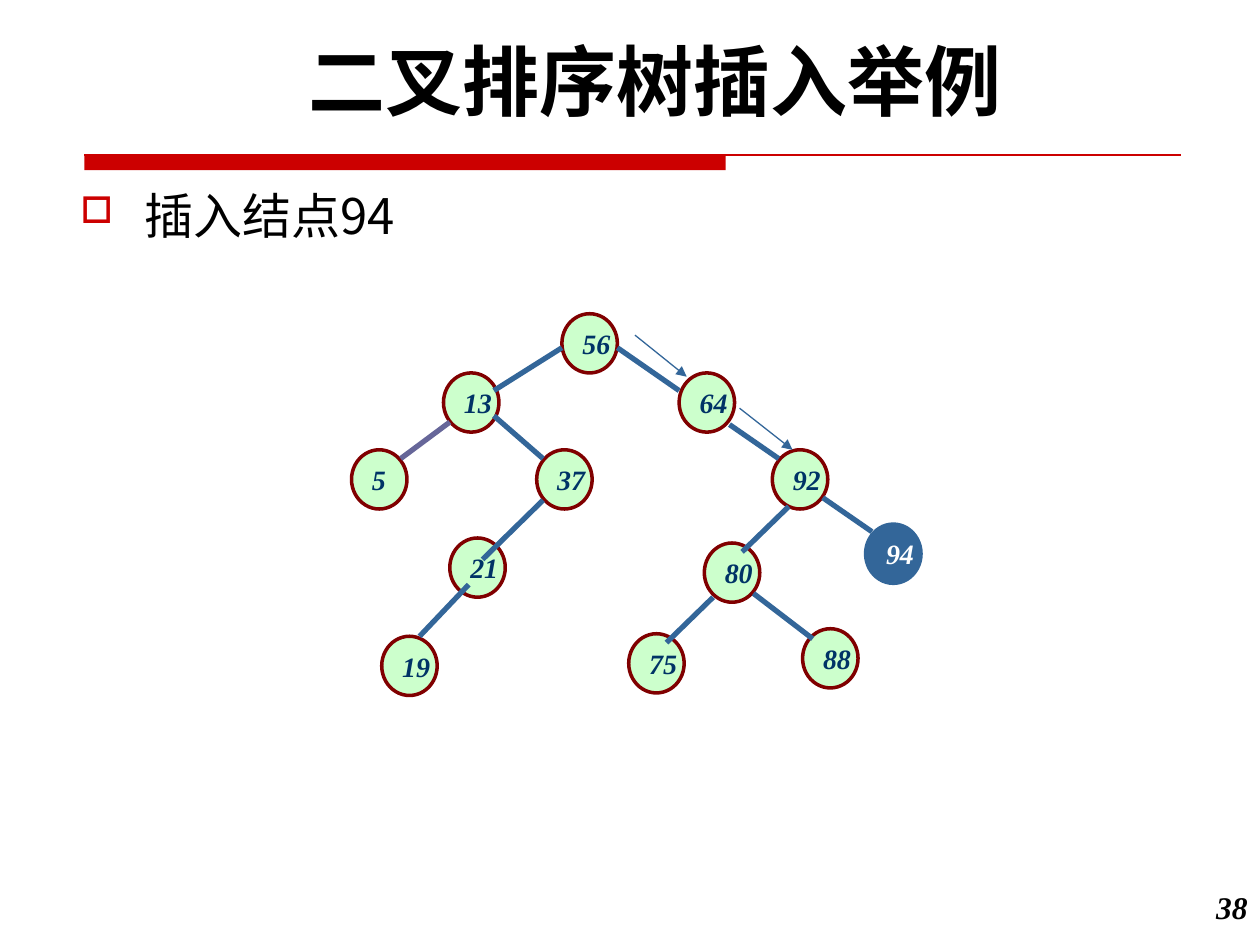
from lxml.etree import SubElement
from pptx import Presentation
from pptx.dml.color import RGBColor
from pptx.enum.shapes import MSO_CONNECTOR, MSO_SHAPE
from pptx.enum.text import MSO_ANCHOR, PP_ALIGN
from pptx.oxml.ns import qn
from pptx.util import Inches, Pt

BLACK = RGBColor(0x00, 0x00, 0x00)
WHITE = RGBColor(0xFF, 0xFF, 0xFF)
RED = RGBColor(0xCC, 0x00, 0x00)
MAROON = RGBColor(0x80, 0x00, 0x00)
MINT = RGBColor(0xCC, 0xFF, 0xCC)
NAVY = RGBColor(0x00, 0x33, 0x66)
BLUE = RGBColor(0x33, 0x66, 0x99)
VIOLET = RGBColor(0x66, 0x66, 0x99)

HEADING_FONT = "Roboto"
BODY_FONT = "Noto Sans CJK SC"
NUMBER_FONT = "Times New Roman"

NODE_WIDTH, NODE_HEIGHT = 0.44, 0.47
NODES = {
    "56": (4.46, 2.49), "13": (3.52, 2.96), "64": (5.39, 2.96),
    "5": (2.79, 3.57), "37": (4.26, 3.57), "92": (6.13, 3.57),
    "21": (3.57, 4.27), "80": (5.59, 4.31), "19": (3.03, 5.05),
    "75": (4.99, 5.03), "88": (6.37, 4.99), "94": (6.87, 4.16),
}
INSERTED = "94"
EDGES = [
    ((4.46, 2.76), (3.92, 3.10), BLUE),
    ((3.57, 3.35), (3.18, 3.64), VIOLET),
    ((4.90, 2.76), (5.39, 3.10), BLUE),
    ((3.92, 3.30), (4.31, 3.64), BLUE),
    ((4.31, 3.97), (3.83, 4.44), BLUE),
    ((5.79, 3.37), (6.18, 3.64), BLUE),
    ((6.26, 4.02), (5.89, 4.38), BLUE),
    ((5.98, 4.71), (6.45, 5.07), BLUE),
    ((3.72, 4.64), (3.33, 5.05), BLUE),
    ((5.66, 4.74), (5.29, 5.10), BLUE),
    ((6.53, 3.95), (6.92, 4.22), BLUE),
]
SEARCH_STEPS = [((5.04, 2.66), (5.45, 2.99)), ((5.87, 3.24), (6.29, 3.57))]


def place(shape, left, top, width, height):
    """Move and size a shape, in inches."""
    shape.left, shape.top = Inches(left), Inches(top)
    shape.width, shape.height = Inches(width), Inches(height)


def write(paragraph, text, font, size, color, bold=False, italic=False):
    """Add one formatted run to a paragraph."""
    span = paragraph.add_run()
    span.text = text
    span.font.name = font
    span.font.size = Pt(size)
    span.font.color.rgb = color
    span.font.bold, span.font.italic = bold, italic
    east_asian = SubElement(span.font._element, qn("a:ea"))
    east_asian.set("typeface", font)


def add_line(page, start, end, color, weight, arrow=False):
    """Draw a straight line, with an arrowhead at its end if asked."""
    line = page.shapes.add_connector(
        MSO_CONNECTOR.STRAIGHT, *(Inches(value) for value in (*start, *end)))
    line.line.color.rgb = color
    line.line.width = Pt(weight)
    if arrow:
        SubElement(line.line._get_or_add_ln(), qn("a:tailEnd")).set("type", "triangle")
    SubElement(line._element.spPr, qn("a:effectLst"))


def add_text_box(page, left, top, width, height):
    """Add a wrapping text box and return its first paragraph."""
    box = page.shapes.add_textbox(
        Inches(left), Inches(top), Inches(width), Inches(height))
    box.text_frame.word_wrap = True
    return box.text_frame.paragraphs[0]


def add_heading(page, left, top, width, height):
    """Fill the title placeholder."""
    title = page.shapes.title
    place(title, left, top, width, height)
    title.text_frame.vertical_anchor = MSO_ANCHOR.MIDDLE
    paragraph = title.text_frame.paragraphs[0]
    paragraph.alignment = PP_ALIGN.CENTER
    write(paragraph, "二叉排序树插入举例", HEADING_FONT, 44, BLACK, bold=True)


def add_rule(page, left, top, width, bar_width, bar_height):
    """Draw the thin rule with the thick bar under its left part."""
    bar = page.shapes.add_shape(
        MSO_SHAPE.RECTANGLE, Inches(left), Inches(top),
        Inches(bar_width), Inches(bar_height))
    bar.shadow.inherit = False
    bar.fill.solid()
    bar.fill.fore_color.rgb = RED
    bar.line.fill.background()
    add_line(page, (left, top), (left + width, top), RED, 0.75)


def add_body(page, left, top, width, height):
    """Write the bulleted line."""
    paragraph = add_text_box(page, left, top, width, height)
    properties = paragraph._p.get_or_add_pPr()
    properties.set("marL", str(Inches(0.51)))
    properties.set("indent", str(Inches(-0.51)))
    bullet_color = SubElement(properties, qn("a:buClr"))
    SubElement(bullet_color, qn("a:srgbClr")).set("val", str(RED))
    SubElement(properties, qn("a:buSzPct")).set("val", "75000")
    SubElement(properties, qn("a:buChar")).set("char", "□")
    write(paragraph, "插入结点94", BODY_FONT, 28, BLACK)


def add_node(page, key, left, top):
    """Draw one tree node, highlighted if it is the inserted one."""
    inserted = key == INSERTED
    node = page.shapes.add_shape(
        MSO_SHAPE.OVAL, Inches(left), Inches(top),
        Inches(NODE_WIDTH), Inches(NODE_HEIGHT))
    node.shadow.inherit = False
    node.fill.solid()
    node.fill.fore_color.rgb = BLUE if inserted else MINT
    node.line.color.rgb = BLUE if inserted else MAROON
    node.line.width = Pt(2)
    frame = node.text_frame
    frame.word_wrap = False
    frame.vertical_anchor = MSO_ANCHOR.MIDDLE
    paragraph = frame.paragraphs[0]
    paragraph.alignment = PP_ALIGN.LEFT
    write(paragraph, key, NUMBER_FONT, 16, WHITE if inserted else NAVY,
          bold=True, italic=True)


def add_tree(page):
    """Draw the nodes, the edges over them and the search arrows."""
    for key, (left, top) in NODES.items():
        add_node(page, key, left, top)
    for start, end, color in EDGES:
        add_line(page, start, end, color, 3)
    for start, end in SEARCH_STEPS:
        add_line(page, start, end, BLUE, 0.75, arrow=True)


def add_page_number(page, left, top, width, height):
    """Write the page number in the corner."""
    paragraph = add_text_box(page, left, top, width, height)
    paragraph.alignment = PP_ALIGN.RIGHT
    write(paragraph, "38", NUMBER_FONT, 18, BLACK, bold=True, italic=True)


def main():
    """Build and save the deck."""
    deck = Presentation()
    deck.slide_width, deck.slide_height = Inches(10), Inches(7.5)
    page = deck.slides.add_slide(deck.slide_layouts[5])
    add_rule(page, 0.67, 1.23, 8.7, 5.09, 0.12)
    add_page_number(page, 9.33, 7, 0.67, 0.5)
    add_body(page, 0.54, 1.42, 9.58, 4.42)
    add_tree(page)
    add_heading(page, 0.58, 0.21, 9.25, 0.84)
    deck.save("out.pptx")


if __name__ == "__main__":
    main()
